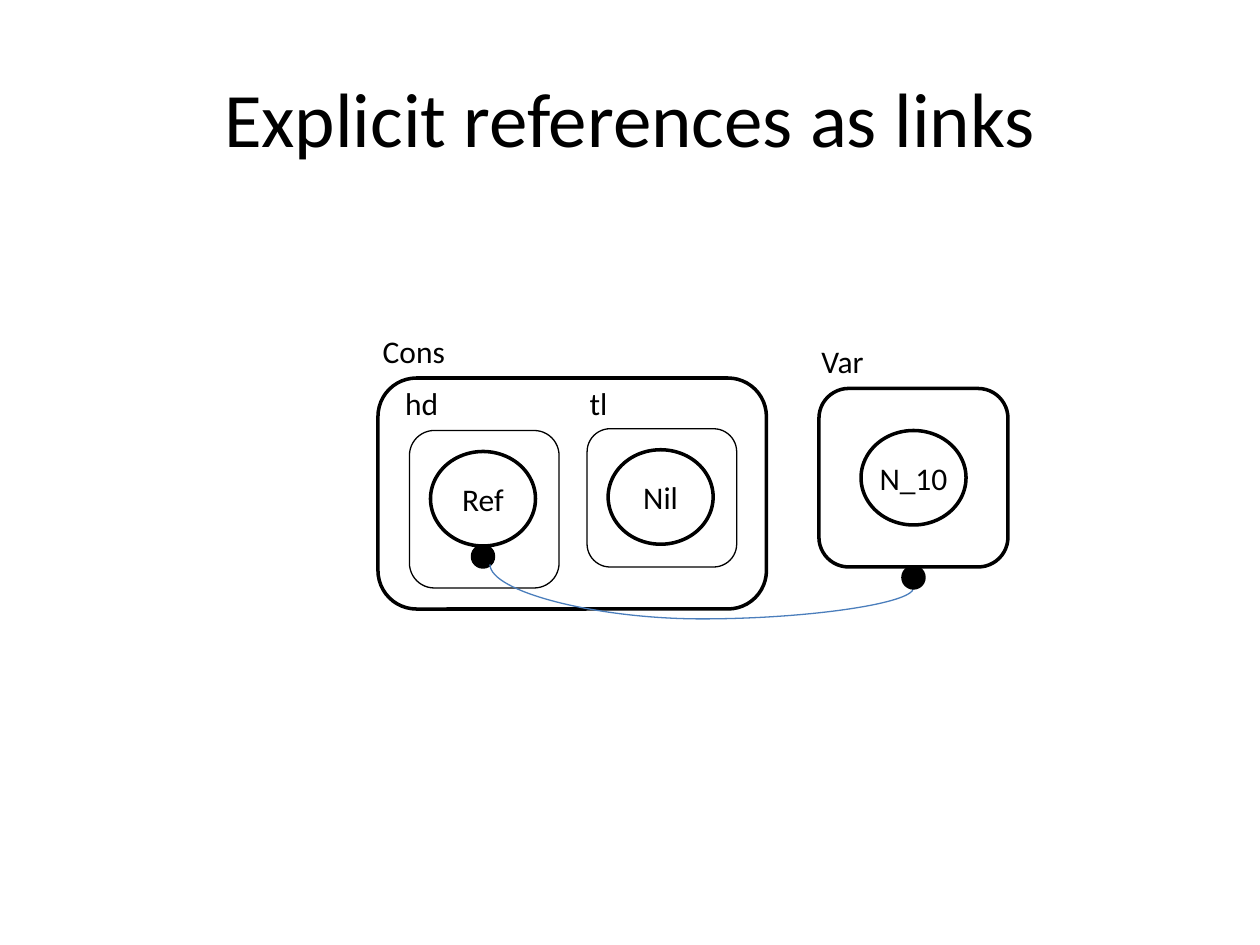
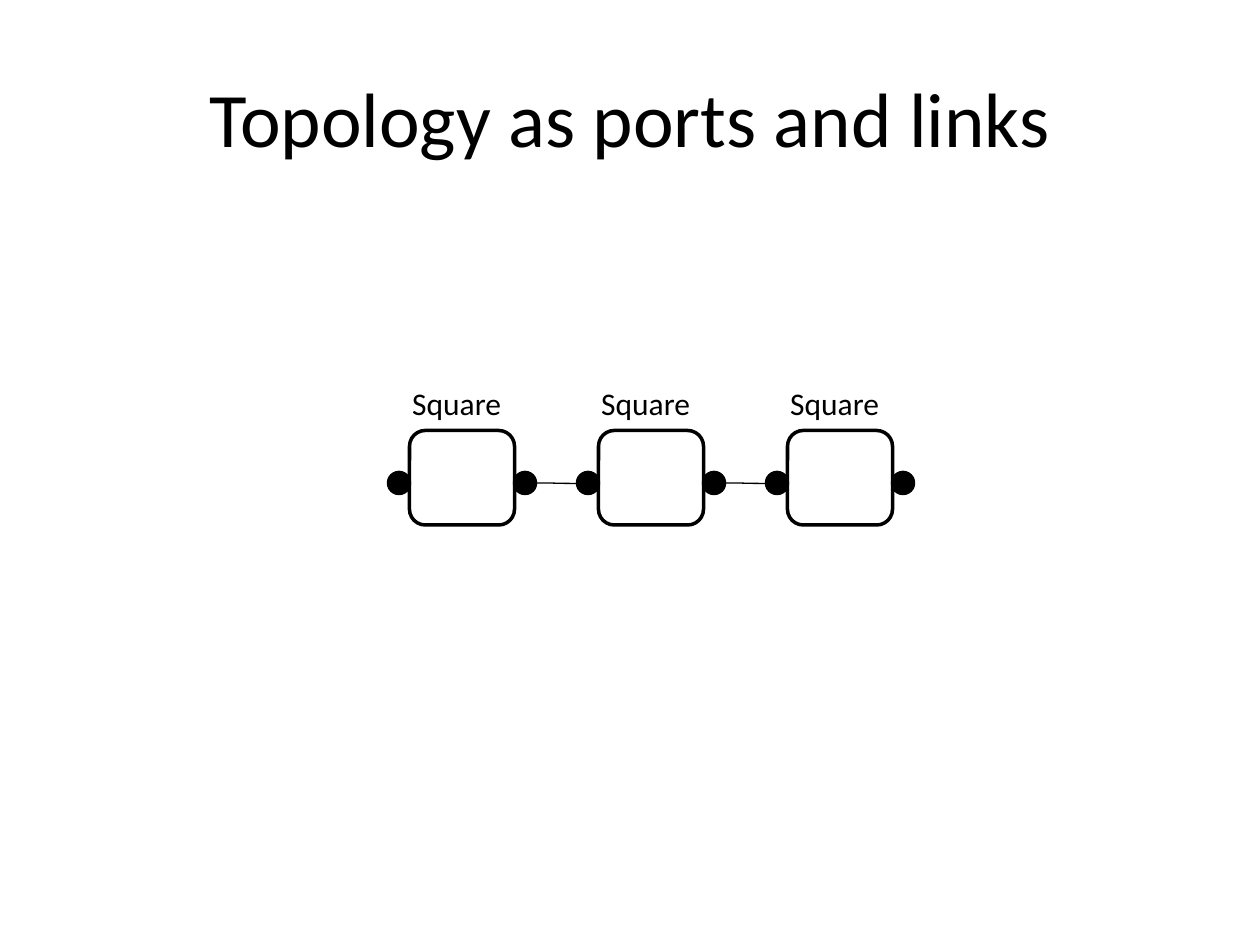
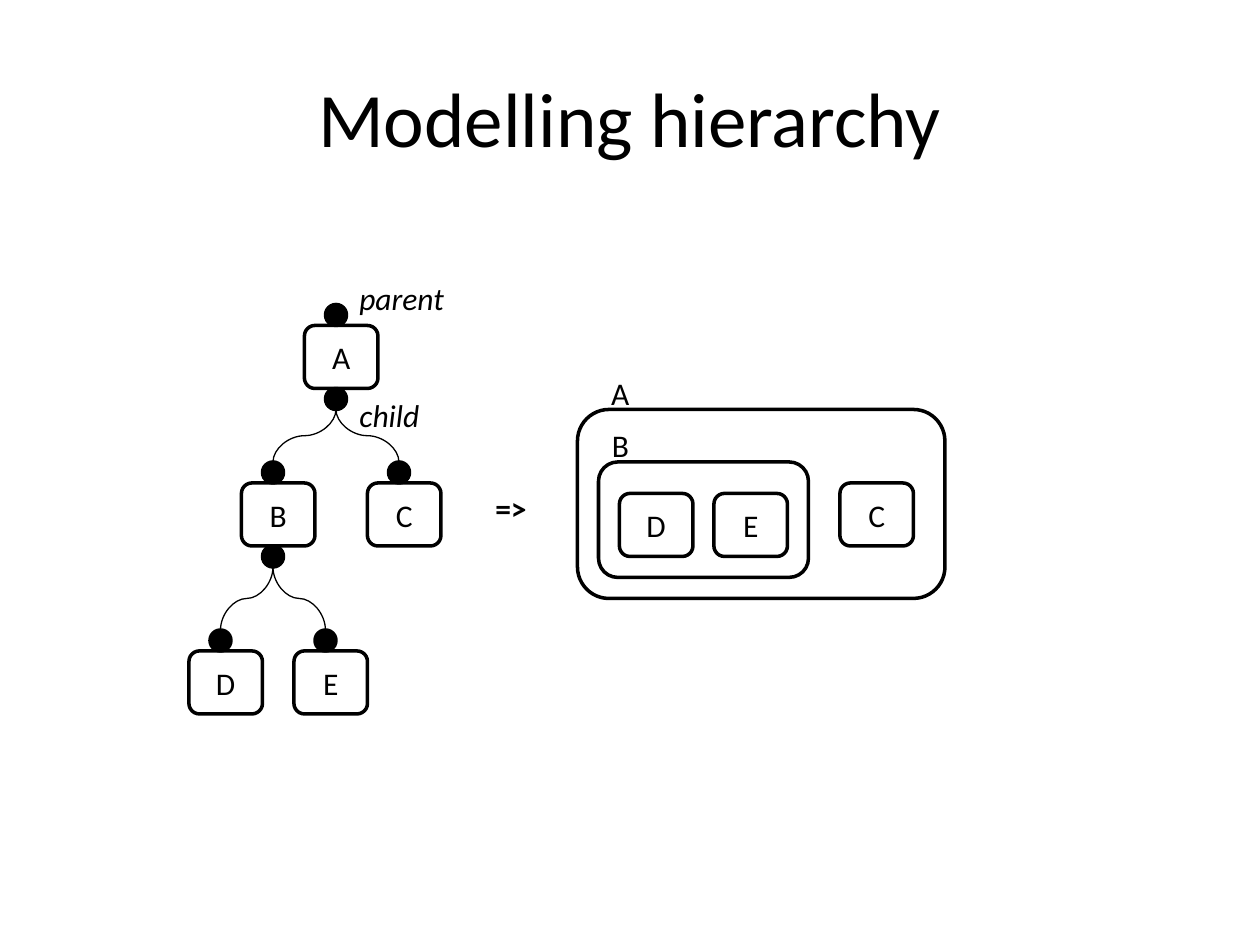
from lxml.etree import SubElement
from pptx import Presentation
from pptx.dml.color import RGBColor
from pptx.enum.shapes import MSO_CONNECTOR as CONN, MSO_SHAPE as SHAPE
from pptx.enum.text import MSO_ANCHOR as ANCHOR, MSO_AUTO_SIZE as FIT, PP_ALIGN as ALIGN
from pptx.oxml.ns import qn
from pptx.util import Pt

FONT = "Calibri"
BLACK, WHITE, BLUE = "000000", "FFFFFF", "4B7EBC"
THICK, THIN = 2, 0.75
PORT = 12
NODE_W, NODE_H = 42, 36
PORT_X = 18  # ports sit this far from a tree node's left edge


def rgb(color):
    """Turn a hex string into a colour."""
    return RGBColor.from_string(color)


def write(tf, text, size=18, bold=False, italic=False):
    """Write one centred run into a text frame."""
    p = tf.paragraphs[0]
    p.alignment = ALIGN.CENTER
    r = p.add_run()
    r.text = text
    r.font.name, r.font.size = FONT, Pt(size)
    r.font.bold, r.font.italic = bold, italic
    r.font.color.rgb = rgb(BLACK)


def add_titled_slide(prs, title):
    """Add a blank slide with the shared title."""
    s = prs.slides.add_slide(prs.slide_layouts[6])
    tf = s.shapes.add_textbox(Pt(36), Pt(21.6), Pt(648), Pt(90)).text_frame
    tf.word_wrap = True
    tf.vertical_anchor = ANCHOR.MIDDLE
    write(tf, title, 44)
    return s


def label(s, x, y, w, text, **style):
    """Add a one-line label that grows with its text."""
    tf = s.shapes.add_textbox(Pt(x), Pt(y), Pt(w), Pt(29)).text_frame
    tf.word_wrap = False
    tf.auto_size = FIT.SHAPE_TO_FIT_TEXT
    write(tf, text, **style)


def outline(s, kind, x, y, w, h, line=THICK, fill=WHITE):
    """Add a filled shape with a black outline."""
    sp = s.shapes.add_shape(kind, Pt(x), Pt(y), Pt(w), Pt(h))
    sp.shadow.inherit = False
    sp.fill.solid()
    sp.fill.fore_color.rgb = rgb(fill)
    sp.line.color.rgb = rgb(BLACK)
    sp.line.width = Pt(line)
    return sp


def box(s, x, y, w, h, line=THICK):
    """Add an empty rounded box."""
    return outline(s, SHAPE.ROUNDED_RECTANGLE, x, y, w, h, line)


def node(s, x, y, text):
    """Add a small rounded box holding a letter."""
    tf = box(s, x, y, NODE_W, NODE_H).text_frame
    tf.vertical_anchor = ANCHOR.MIDDLE
    write(tf, text)


def atom(s, x, y, text):
    """Add an ellipse holding a value."""
    tf = outline(s, SHAPE.OVAL, x, y, 60, 54).text_frame
    tf.margin_left = tf.margin_right = tf.margin_top = tf.margin_bottom = 0
    tf.vertical_anchor = ANCHOR.MIDDLE
    write(tf, text)


def port(s, cx, cy):
    """Add a black dot centred on a point."""
    outline(s, SHAPE.OVAL, cx - PORT / 2, cy - PORT / 2, PORT, PORT, fill=BLACK)


def curve(s, start, end, color=BLACK, upright=False, bend=None):
    """Add a curved link; an upright one leaves and arrives vertically."""
    if upright:
        # Place the ends a quarter turn back, since the link is rotated below.
        cx, cy = ((a + b) / 2 for a, b in zip(start, end))
        start, end = ((cx + y - cy, cy - x + cx) for x, y in (start, end))
    c = s.shapes.add_connector(CONN.CURVE, *(Pt(v) for v in (*start, *end)))
    c.line.color.rgb = rgb(color)
    c.line.width = Pt(THIN)
    props = c._element.spPr
    SubElement(props, qn("a:effectLst"))
    if upright:
        props.find(qn("a:xfrm")).set("rot", str(90 * 60000))
    if bend is not None:
        guides = props.find(qn("a:prstGeom")).find(qn("a:avLst"))
        SubElement(guides, qn("a:gd"), name="adj1", fmla=f"val {round(bend * 100000)}")


def references_slide(prs):
    """A list cell whose head refers to a variable."""
    s = add_titled_slide(prs, "Explicit references as links")
    box(s, 216, 216, 222, 132)
    label(s, 211.5, 186, 50, "Cons")
    for x, y, h, name, name_x, name_w, value in (
            (234, 246, 90, "hd", 224, 34, "Ref"),
            (335.5, 245, 79, "tl", 329, 26, "Nil")):
        box(s, x, y, 85.5, h, THIN)
        label(s, name_x, 216, name_w, name)
        atom(s, x + 12, y + 12, value)
    box(s, 468, 222, 108, 102)
    label(s, 462, 192, 39, "Var")
    atom(s, 492, 246, "N_10")
    port(s, 276, 318)
    curve(s, (522, 336), (280, 322.5), BLUE, upright=True, bend=-1.31)
    port(s, 522, 330)


def topology_slide(prs):
    """Three squares chained through their side ports."""
    s = add_titled_slide(prs, "Topology as ports and links")
    count, first, step, width, mid = 3, 234, 108, 60, 276
    lefts = [first + i * step for i in range(count)]
    for x in lefts:
        box(s, x, 246, width, 54)
        label(s, x - 6, 216, 66, "Square")
        port(s, x + width + PORT / 2, mid)
        port(s, x - PORT / 2, mid)
    for x in lefts[1:]:
        curve(s, (x - PORT, mid + 0.25), (x - step + width + PORT, mid))


def hierarchy_slide(prs):
    """A tree of linked nodes and the same tree as nested boxes."""
    s = add_titled_slide(prs, "Modelling hierarchy")
    places = {"A": (174, 186), "B": (138, 276), "C": (210, 276),
              "D": (108, 372), "E": (168, 372)}
    children = {"A": "BC", "B": "DE"}
    for name, (x, y) in places.items():
        node(s, x, y, name)
        port(s, x + PORT_X, y - PORT / 2)
        if name in children:
            port(s, x + PORT_X, y + NODE_H + PORT / 2)
        for child in children.get(name, ""):
            cx, cy = places[child]
            curve(s, (x + PORT_X, y + NODE_H + PORT), (cx + PORT_X, cy - PORT),
                  upright=True)
    label(s, 198, 156, 63, "parent", italic=True)
    label(s, 198, 223, 49, "child", italic=True)
    label(s, 275, 276, 34, "=>", bold=True)

    box(s, 330, 234, 210, 108)
    label(s, 341.5, 210, 26, "A")
    box(s, 342, 264, 120, 66)
    label(s, 341.5, 240, 26, "B")
    for x, y, name in ((354, 282, "D"), (408, 282, "E"), (480, 276, "C")):
        node(s, x, y, name)


def main():
    """Build the three slides and save them."""
    prs = Presentation()
    prs.slide_width, prs.slide_height = Pt(720), Pt(540)
    references_slide(prs)
    topology_slide(prs)
    hierarchy_slide(prs)
    prs.save("out.pptx")


main()
